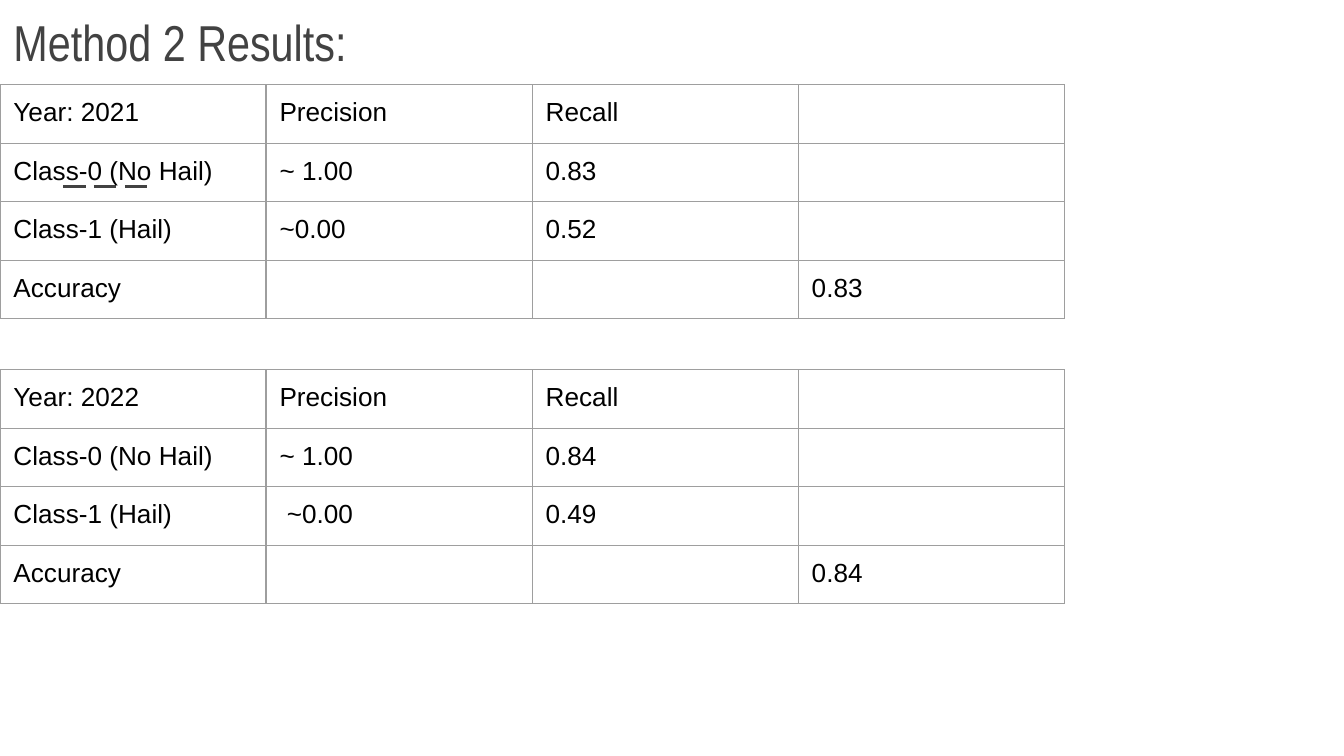
from dataclasses import dataclass

from lxml import etree
from pptx import Presentation
from pptx.dml.color import RGBColor
from pptx.enum.dml import MSO_LINE
from pptx.enum.shapes import MSO_CONNECTOR
from pptx.enum.text import MSO_ANCHOR, MSO_AUTO_SIZE, PP_ALIGN
from pptx.oxml.ns import qn
from pptx.util import Inches, Pt

STRAIGHT = MSO_CONNECTOR.STRAIGHT
LONG_DASH = MSO_LINE.LONG_DASH
BOTTOM, TOP = MSO_ANCHOR.BOTTOM, MSO_ANCHOR.TOP
LEFT = PP_ALIGN.LEFT
NO_AUTOFIT = MSO_AUTO_SIZE.NONE
TITLE_ONLY = 5
PAGE_WIDTH = 10
PAGE_HEIGHT = PAGE_WIDTH * 9 / 16


@dataclass(frozen=True)
class Theme:
    title_font: str = "Arial Narrow"
    body_font: str = "Arial"
    title_size: float = 27
    body_size: float = 14
    empty_size: float = 18
    heading: str = "424242"
    body: str = "000000"
    border: str = "9E9E9E"
    border_width: float = 0.75
    accent_width: float = 1.5
    inset: float = 0.1


def set_values(target, values):
    for name, value in values.items():
        setattr(target, name, value)


class SlideBuilder:
    def __init__(self, page, theme):
        self.page = page
        self.theme = theme
        self.margins = {
            f"margin_{side}": Inches(theme.inset)
            for side in ("left", "right", "top", "bottom")
        }

    def style_text(self, para, font, size, color):
        para.alignment = LEFT
        for span in para.runs:
            set_values(span.font, {"name": font, "size": Pt(size), "bold": False})
            span.font.color.rgb = RGBColor.from_string(color)

    def style_empty(self, para):
        """Set the type that gives an empty cell its height."""
        end = etree.SubElement(para._p, qn("a:endParaRPr"),
                               sz=str(int(self.theme.empty_size * 100)))
        etree.SubElement(end, qn("a:latin"), typeface=self.theme.title_font)

    def title(self, text, left, top, width, height):
        box = self.page.shapes.title
        set_values(box, {
            "left": Inches(left), "top": Inches(top),
            "width": Inches(width), "height": Inches(height),
        })
        frame = box.text_frame
        frame.text = text
        set_values(frame, {
            **self.margins, "vertical_anchor": BOTTOM,
            "word_wrap": True, "auto_size": NO_AUTOFIT,
        })
        self.style_text(frame.paragraphs[0], self.theme.title_font,
                        self.theme.title_size, self.theme.heading)

    def dashed_line(self, left, right, y):
        line = self.page.shapes.add_connector(
            STRAIGHT, Inches(left), Inches(y), Inches(right), Inches(y))
        line.line.color.rgb = RGBColor.from_string(self.theme.heading)
        set_values(line.line, {
            "width": Pt(self.theme.accent_width), "dash_style": LONG_DASH,
        })
        etree.SubElement(line._element.spPr, qn("a:effectLst"))

    def cell_borders(self, cell):
        properties = cell._tc.get_or_add_tcPr()
        for side in ("lnL", "lnR", "lnT", "lnB"):
            edge = etree.SubElement(properties, qn(f"a:{side}"),
                                    w=str(Pt(self.theme.border_width)))
            fill = etree.SubElement(edge, qn("a:solidFill"))
            etree.SubElement(fill, qn("a:srgbClr"), val=self.theme.border)

    def table(self, rows, left, top, column_width, row_height):
        column_count = len(rows[0])
        table = self.page.shapes.add_table(
            len(rows), column_count, Inches(left), Inches(top),
            Inches(column_width * column_count),
            Inches(row_height * len(rows))).table
        set_values(table, {"first_row": False, "horz_banding": False})
        for column in table.columns:
            column.width = Inches(column_width)
        for row, texts in zip(table.rows, rows):
            row.height = Inches(row_height)
            for cell, text in zip(row.cells, texts):
                set_values(cell, {**self.margins, "vertical_anchor": TOP})
                self.cell_borders(cell)
                cell.fill.background()
                para = cell.text_frame.paragraphs[0]
                if text:
                    para.text = text
                    self.style_text(para, self.theme.body_font,
                                    self.theme.body_size, self.theme.body)
                else:
                    self.style_empty(para)


def result_rows(year, no_hail, hail, accuracy):
    """Lay out one year's scores; each class is a (precision, recall) pair."""
    return [
        (f"Year: {year}", "Precision", "Recall", ""),
        ("Class-0 (No Hail)", *no_hail, ""),
        ("Class-1 (Hail)", *hail, ""),
        ("Accuracy", "", "", accuracy),
    ]


def main():
    deck = Presentation()
    set_values(deck, {
        "slide_width": Inches(PAGE_WIDTH), "slide_height": Inches(PAGE_HEIGHT),
    })
    page = deck.slides.add_slide(deck.slide_layouts[TITLE_ONLY])
    builder = SlideBuilder(page, Theme())

    builder.dashed_line(0.47, 1.14, 1.39)
    builder.title("Method 2 Results:", 0, 0, 9.32, 0.63)
    results = [
        (0.63, result_rows(2021, ("~ 1.00", "0.83"), ("~0.00", "0.52"), "0.83")),
        (2.75, result_rows(2022, ("~ 1.00", "0.84"), (" ~0.00", "0.49"), "0.84")),
    ]
    for top, rows in results:
        builder.table(rows, 0, top, column_width=1.98, row_height=0.42)
    deck.save("out.pptx")


if __name__ == "__main__":
    main()
